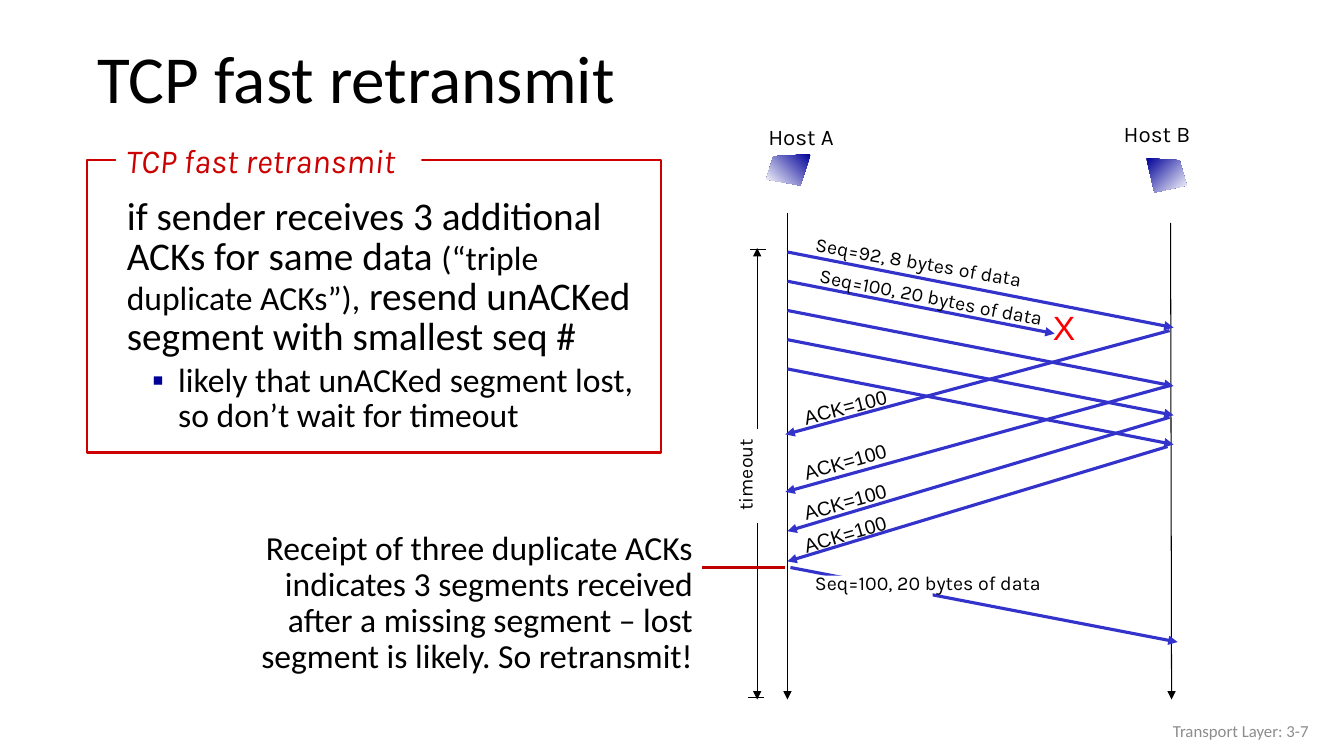
from dataclasses import dataclass
from typing import NamedTuple

from pptx import Presentation
from pptx.dml.color import RGBColor
from pptx.enum.shapes import MSO_CONNECTOR, MSO_SHAPE
from pptx.enum.text import MSO_ANCHOR, PP_ALIGN
from pptx.oxml.ns import qn
from pptx.util import Emu, Pt
from lxml.etree import SubElement

PX = 9144  # 100 px to the inch


@dataclass(frozen=True)
class Theme:
    black: str = "000000"
    white: str = "FFFFFF"
    navy: str = "000099"
    arrow: str = "3333CC"
    frame: str = "CC0000"
    mark: str = "C00000"
    lost: str = "FF0000"
    gray: str = "8C8C8C"
    plain: str = "Calibri"
    label: str = "Karla"
    ack: str = "Arial"
    title: int = 48
    big: int = 28
    body: int = 24
    host: int = 16
    small: int = 14
    foot: int = 12


THEME = Theme()


class Box(NamedTuple):
    left: int
    top: int
    width: int
    height: int

    def emu(self) -> list[Emu]:
        return [Emu(side * PX) for side in self]


class Line(NamedTuple):
    start: tuple[int, int]
    end: tuple[int, int]
    color: str = THEME.black
    width: float = 0.75
    head: bool = True


class Label(NamedTuple):
    text: str
    box: Box
    size: int = THEME.small
    face: str = THEME.label
    color: str = THEME.black
    turn: float = 0
    align: PP_ALIGN = PP_ALIGN.CENTER
    wrap: bool = False
    middle: bool = False
    slant: bool = False
    pitch: float = 1.0


class Host(NamedTuple):
    points: list[tuple[int, int]]
    angle: int


LEFT, RIGHT = 781, 1164
LIVES = [Line((LEFT, 211), (LEFT, 694)), Line((1161, 221), (1162, 694))]
SPAN = [
    Line((751, 426), (751, 246)),
    Line((744, 248), (760, 248), head=False),
    Line((751, 519), (751, 694)),
    Line((742, 692), (758, 692), head=False),
]
ACKS = [
    Line(start, end, THEME.arrow, 2.25)
    for start, end in [
        ((1160, 328), (779, 431)),
        ((1162, 382), (779, 488)),
        ((1160, 414), (LEFT, 527)),
        ((1158, 443), (LEFT, 557)),
    ]
]
FIRST, STEP, DROP, LOST = 250, 29, 75, 1
SENDS = [
    Line((LEFT, y), (1046, 331) if i == LOST else (RIGHT, y + DROP), THEME.arrow, 2.25)
    for i, y in enumerate(range(FIRST, FIRST + 5 * STEP, STEP))
]
RESEND = Line((784, 563), (1168, 637), THEME.arrow, 2.25)
MARK = Line((696, 563), (779, 563), THEME.mark, 1.75, False)

LABELS = [
    Label("TCP fast retransmit", Box(87, 32, 1246, 98), THEME.title, THEME.plain,
          align=PP_ALIGN.LEFT, wrap=True, middle=True, pitch=0.9),
    Label("Host A", Box(736, 117, 117, 43), THEME.host),
    Label("Host B", Box(1089, 114, 117, 43), THEME.host),
    Label("timeout", Box(682, 441, 140, 60), turn=270),
    *[
        Label("ACK=100", Box(767, top, 144, 39), face=THEME.ack, turn=turn)
        for top, turn in [(387, 345.6), (441, 343.9), (481, 344.3), (513, 343.8)]
    ],
    Label("X", Box(1034, 300, 43, 58), THEME.body, THEME.ack, THEME.lost),
    Label("Seq=92, 8 bytes of data", Box(795, 243, 232, 34), turn=9.7),
    Label("Seq=100, 20 bytes of data", Box(797, 278, 253, 34), turn=11.1),
    Label("Seq=100, 20 bytes of data", Box(748, 561, 345, 39)),
    Label("Receipt of three duplicate ACKs indicates 3 segments received after a "
          "missing segment – lost segment is likely. So retransmit!",
          Box(244, 522, 453, 156), THEME.body, THEME.plain,
          align=PP_ALIGN.RIGHT, wrap=True, pitch=0.9),
    Label("TCP fast retransmit", Box(115, 134, 303, 50), THEME.body,
          color=THEME.frame, align=PP_ALIGN.LEFT, slant=True),
    Label("Transport Layer: 3-7", Box(1008, 705, 300, 40), THEME.foot, THEME.plain,
          THEME.gray, align=PP_ALIGN.RIGHT, wrap=True, middle=True),
]
HOSTS = [
    Host([(804, 153), (767, 155), (760, 178), (794, 184)], 225),
    Host([(1137, 157), (1170, 159), (1177, 184), (1145, 191)], 315),
]
RULE = [
    ("if sender receives 3 additional ACKs for same data ", THEME.big),
    ("(“triple duplicate ACKs”),", THEME.body),
    (" resend unACKed segment with smallest seq #", THEME.big),
]
POINT = "likely that unACKed segment lost, so don’t wait for timeout"


def rgb(color: str) -> RGBColor:
    return RGBColor.from_string(color)


def style(font, face: str, color: str, size: int | None = None) -> None:
    font.name = face
    font.color.rgb = rgb(color)
    if size:
        font.size = Pt(size)


def draw_line(shapes, line: Line) -> None:
    ends = [Emu(n * PX) for n in (*line.start, *line.end)]
    link = shapes.add_connector(MSO_CONNECTOR.STRAIGHT, *ends)
    link.line.color.rgb = rgb(line.color)
    link.line.width = Pt(line.width)
    props = link._element.spPr
    if line.head:
        SubElement(props.find(qn("a:ln")), qn("a:tailEnd"), type="triangle")
    SubElement(props, qn("a:effectLst"))


def draw_label(shapes, label: Label) -> None:
    shape = shapes.add_textbox(*label.box.emu())
    shape.rotation = label.turn
    frame = shape.text_frame
    frame.word_wrap = label.wrap
    frame.vertical_anchor = MSO_ANCHOR.MIDDLE if label.middle else MSO_ANCHOR.TOP
    para = frame.paragraphs[0]
    para.text = label.text
    para.alignment = label.align
    para.line_spacing = label.pitch
    style(para.font, label.face, label.color, label.size)
    para.font.italic = label.slant


def draw_rect(shapes, box: Box, fill: str = "", edge: str = ""):
    rect = shapes.add_shape(MSO_SHAPE.RECTANGLE, *box.emu())
    rect.shadow.inherit = False
    if fill:
        rect.fill.solid()
        rect.fill.fore_color.rgb = rgb(fill)
    else:
        rect.fill.background()
    if edge:
        rect.line.color.rgb = rgb(edge)
        rect.line.width = Pt(1.5)
    else:
        rect.line.fill.background()
    return rect


def draw_host(shapes, host: Host) -> None:
    form = shapes.build_freeform(*host.points[0], scale=PX)
    form.add_line_segments(host.points[1:], close=True)
    shape = form.convert_to_shape()
    shape.shadow.inherit = False
    shape.line.fill.background()
    shape.fill.gradient()
    shape.fill.gradient_angle = host.angle
    tints = (THEME.navy, THEME.white)
    for place, (stop, color) in enumerate(zip(shape.fill.gradient_stops, tints)):
        stop.color.rgb = rgb(color)
        stop.position = place


def draw_rule(shapes) -> None:
    frame = draw_rect(shapes, Box(116, 192, 526, 248), THEME.white).text_frame
    frame.word_wrap = True
    frame.vertical_anchor = MSO_ANCHOR.TOP
    rule, point = frame.paragraphs[0], frame.add_paragraph()
    for text, size in RULE:
        run = rule.add_run()
        run.text = text
        run.font.size = Pt(size)
    point.text = POINT
    point.level = 1
    point.space_before = Pt(5)
    props = point._p.get_or_add_pPr()
    props.set("marL", str(51 * PX))
    props.set("indent", str(-26 * PX))
    tint = SubElement(props, qn("a:buClr"))
    SubElement(tint, qn("a:srgbClr"), val=THEME.navy)
    SubElement(props, qn("a:buFont"), typeface=THEME.ack)
    SubElement(props, qn("a:buChar"), char="▪")
    for para, size in ((rule, None), (point, THEME.body)):
        para.alignment = PP_ALIGN.LEFT
        para.line_spacing = 0.85
        style(para.font, THEME.plain, THEME.black, size)


def main() -> None:
    deck = Presentation()
    deck.slide_width, deck.slide_height = Emu(1333 * PX), Emu(750 * PX)
    shapes = deck.slides.add_slide(deck.slide_layouts[6]).shapes
    for line in (*LIVES, *SPAN, *ACKS, *SENDS, RESEND, MARK):
        draw_line(shapes, line)
    draw_rect(shapes, Box(810, 571, 115, 29), THEME.white)
    for host in HOSTS:
        draw_host(shapes, host)
    draw_rule(shapes)
    draw_rect(shapes, Box(86, 159, 570, 290), edge=THEME.frame)
    draw_rect(shapes, Box(115, 134, 303, 50), THEME.white)
    for label in LABELS:
        draw_label(shapes, label)
    deck.save("out.pptx")


if __name__ == "__main__":
    main()
